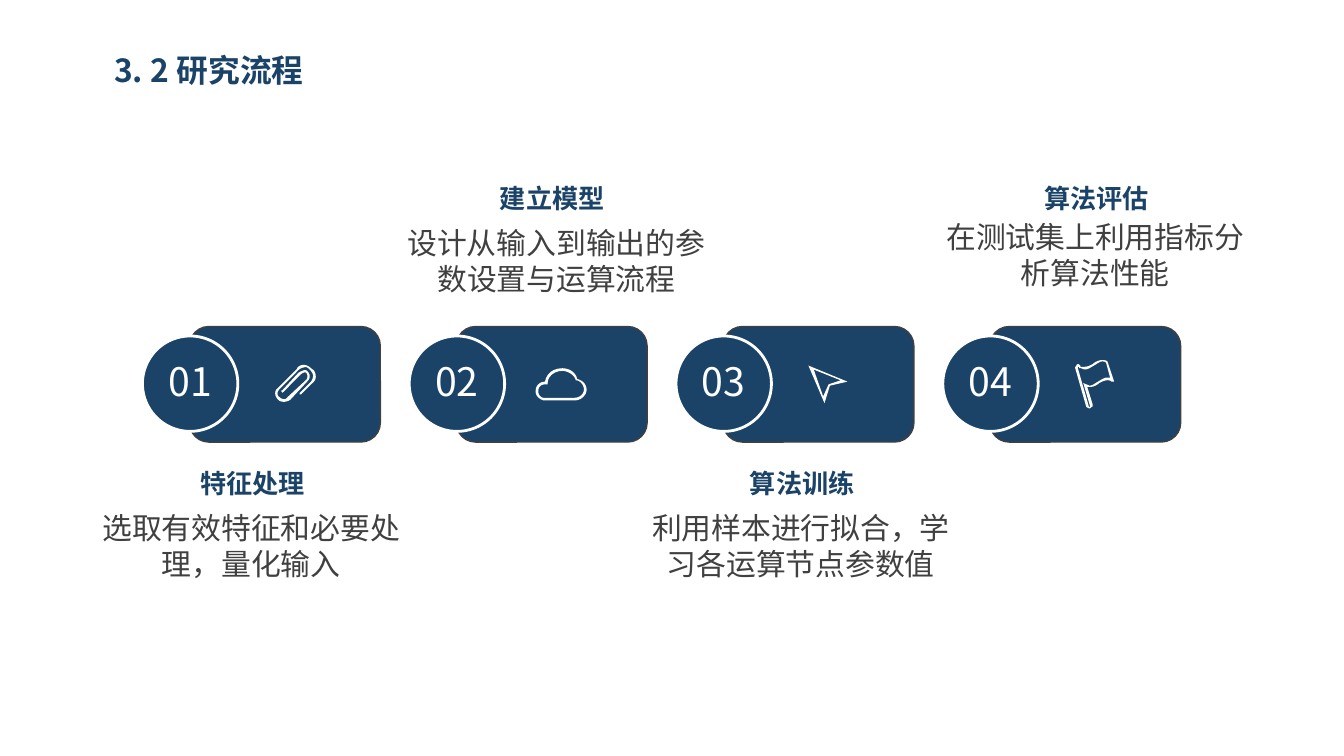
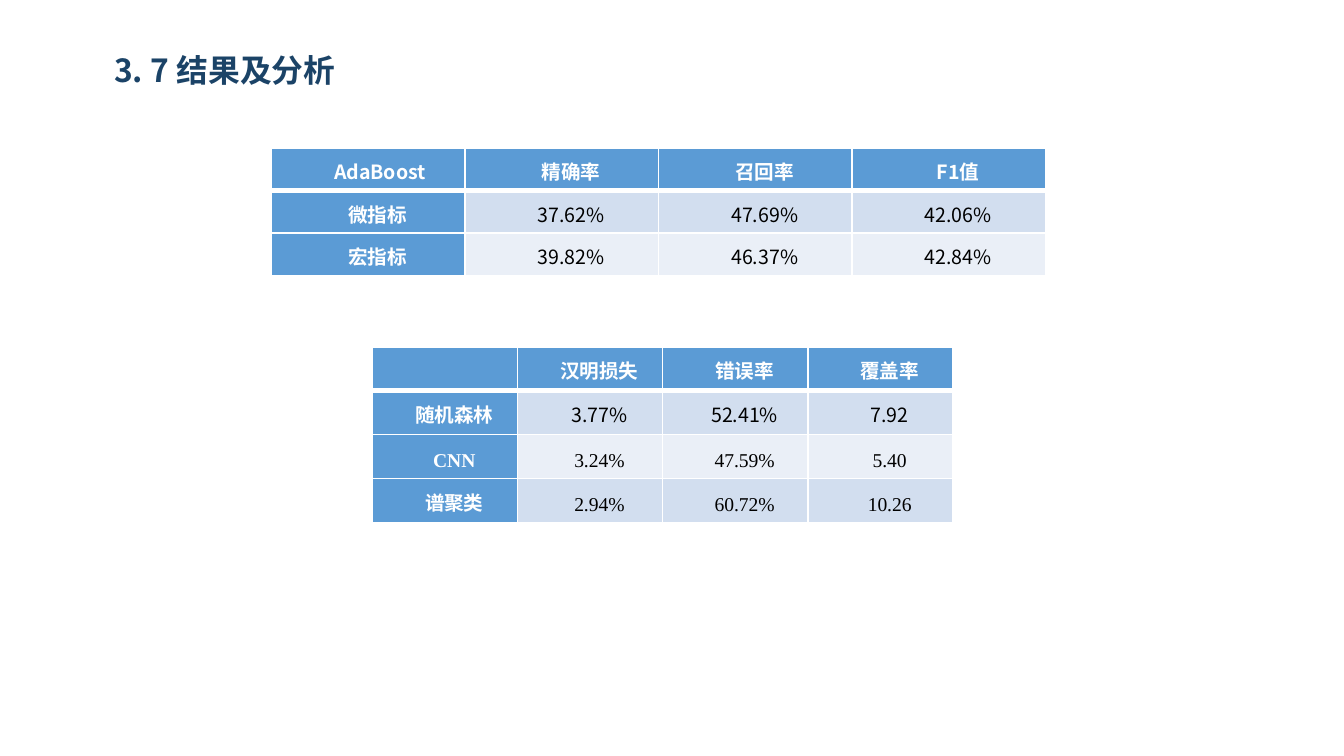
from lxml import etree
from pptx import Presentation
from pptx.dml.color import RGBColor
from pptx.enum.shapes import MSO_SHAPE
from pptx.enum.text import MSO_ANCHOR, MSO_AUTO_SIZE, PP_ALIGN
from pptx.oxml.ns import qn
from pptx.util import Inches, Pt

# Shared style
SLIDE_WIDTH = 10
SLIDE_HEIGHT = SLIDE_WIDTH * 9 / 16
NAVY = RGBColor(0x1B, 0x43, 0x67)
GRAY = RGBColor(0x40, 0x40, 0x40)
WHITE = RGBColor(0xFF, 0xFF, 0xFF)
BLACK = RGBColor(0x00, 0x00, 0x00)
TABLE_BLUE = RGBColor(0x5B, 0x9B, 0xD5)
BANDS = (RGBColor(0xD2, 0xDE, 0xEF), RGBColor(0xEA, 0xEF, 0xF7))
SANS = "Noto Sans CJK SC"
SERIF = "Times New Roman"
ROUNDED = MSO_SHAPE.ROUNDED_RECTANGLE
OVAL = MSO_SHAPE.OVAL
LEFT, CENTER = PP_ALIGN.LEFT, PP_ALIGN.CENTER
TOP, MIDDLE = MSO_ANCHOR.TOP, MSO_ANCHOR.MIDDLE
NO_AUTOFIT = MSO_AUTO_SIZE.NONE
TITLE_ONLY = 5

# Step cards
CARD_LEFT, CARD_PITCH = 1.06, 1.985
CARD_MIDDLE = 2.86
ICON_CENTER = 1.13
CURVE_STEPS = 6

# Icon outlines in hundredths of an inch: pairs are lines, sextuples are curves
PAPERCLIP = (30, 29, [[
    (28, 3), (26, 1, 24, 0, 22, 0), (19, 0, 17, 2, 17, 3), (3, 17),
    (0, 19, 0, 23, 3, 26), (5, 28, 9, 28, 12, 26), (25, 12),
    (27, 10, 27, 7, 25, 5), (24, 3, 21, 4, 18, 6), (6, 19),
    (5, 19, 5, 20, 6, 20), (6, 21, 6, 21, 7, 20), (20, 7),
    (21, 6, 23, 5, 24, 6), (25, 7, 25, 10, 24, 11), (10, 24),
    (9, 26, 6, 26, 4, 24), (2, 23, 2, 20, 4, 18), (18, 4),
    (18, 4, 20, 2, 22, 2), (24, 1, 25, 2, 27, 4), (28, 5, 29, 7, 29, 8),
    (29, 11, 27, 13, 27, 13), (19, 21), (19, 22), (20, 22), (28, 14),
    (28, 14, 31, 12, 31, 9), (31, 6, 30, 4, 28, 3)]])
CLOUD = (38, 24, [
    [(29, 24), (6, 24), (3, 23, 0, 21, 0, 17), (0, 13, 3, 10, 7, 10),
     (8, 4, 13, 0, 20, 0), (25, 0, 30, 3, 31, 8), (35, 9, 38, 12, 38, 16),
     (38, 20, 34, 24, 29, 24)],
    [(6, 22), (29, 22), (33, 22, 36, 19, 36, 16), (36, 13, 34, 10, 31, 9),
     (30, 9), (29, 5, 24, 2, 20, 2), (14, 2, 9, 6, 9, 11), (9, 12), (7, 12),
     (4, 12, 2, 14, 2, 17), (2, 20, 4, 22, 6, 22)]])
CURSOR = (29, 28, [
    [(12, 28), (0, 0), (29, 12), (16, 15)],
    [(4, 3), (11, 23), (15, 14), (24, 11)]])
FLAG = (29, 36, [
    [(11, 36), (10, 36, 8, 35, 8, 34), (0, 6), (0, 5, 0, 5, 1, 4),
     (1, 4, 1, 3, 2, 3), (3, 3, 4, 4, 4, 5), (7, 5), (9, 5, 11, 4, 13, 3),
     (15, 1, 18, 0, 20, 0), (21, 0, 23, 0, 24, 1), (29, 16), (27, 16),
     (26, 15, 25, 15, 24, 15), (22, 15, 20, 16, 18, 17),
     (16, 19, 13, 20, 11, 20), (9, 20), (13, 33), (13, 34, 13, 35, 12, 35)],
    [(2, 5), (2, 6), (10, 34), (10, 34, 10, 35, 11, 35), (11, 34), (6, 17),
     (8, 18), (9, 18, 10, 19, 11, 19), (13, 19, 15, 17, 17, 16),
     (19, 15, 21, 13, 24, 13), (26, 13), (23, 2), (22, 1, 21, 1, 20, 1),
     (18, 1, 16, 3, 14, 4), (12, 5, 10, 7, 7, 7), (6, 7, 5, 6, 4, 6),
     (3, 6), (3, 5)]])

# Icon, heading, heading left and top, description, description left and top
STEPS = [
    (PAPERCLIP, "特征处理", 1.41, 3.44, "选取有效特征和必要处理，量化输入", 0.63, 3.75),
    (CLOUD, "建立模型", 3.64, 1.32, "设计从输入到输出的参数设置与运算流程", 2.9, 1.63),
    (CURSOR, "算法训练", 5.5, 3.44, "利用样本进行拟合，学习各运算节点参数值", 4.72, 3.75),
    (FLAG, "算法评估", 7.69, 1.32, "在测试集上利用指标分析算法性能", 6.91, 1.59),
]

ADABOOST_ROWS = [
    (" AdaBoost", "精确率", "召回率", "F1值"),
    ("微指标", "37.62%", "47.69%", "42.06%"),
    ("宏指标", "39.82%", "46.37%", "42.84%"),
]
COMPARISON_ROWS = [
    ("", "汉明损失", "错误率", "覆盖率"),
    ("随机森林", "3.77%", "52.41%", "7.92"),
    ("CNN", "3.24%", "47.59%", "5.40"),
    ("谱聚类", "2.94%", "60.72%", "10.26"),
]


def box(left, top, width, height):
    return Inches(left), Inches(top), Inches(width), Inches(height)


def format_paragraph(paragraph, size, color, bold=False, align=CENTER, font=SANS):
    paragraph.alignment = align
    for run in paragraph.runs:
        run.font.size = Pt(size)
        run.font.bold = bold
        run.font.color.rgb = color
        run.font.name = font
        east_asian = etree.SubElement(run.font._element, qn("a:ea"))
        east_asian.set("typeface", SANS)


def set_text(shape, text, size, color, bold=False, align=CENTER, wrap=True,
             anchor=TOP, margins=(0.07, 0.04)):
    frame = shape.text_frame
    frame.text = text
    frame.word_wrap = wrap
    frame.auto_size = NO_AUTOFIT
    frame.vertical_anchor = anchor
    frame.margin_left = frame.margin_right = Inches(margins[0])
    frame.margin_top = frame.margin_bottom = Inches(margins[1])
    format_paragraph(frame.paragraphs[0], size, color, bold, align)


def add_titled_slide(presentation, title, width):
    slide = presentation.slides.add_slide(presentation.slide_layouts[TITLE_ONLY])
    shape = slide.shapes.title
    shape.left, shape.top, shape.width, shape.height = box(0.78, 0.34, width, 0.36)
    set_text(shape, title, 17, NAVY, bold=True, align=LEFT)
    return slide


def add_label(slide, position, text, size, color, bold=False, wrap=True):
    shape = slide.shapes.add_textbox(*box(*position))
    set_text(shape, text, size, color, bold, wrap=wrap)


def add_navy_shape(shapes, kind, position, line_color, line_width):
    shape = shapes.add_shape(kind, *box(*position))
    shape.shadow.inherit = False
    shape.fill.solid()
    shape.fill.fore_color.rgb = NAVY
    shape.line.color.rgb = line_color
    shape.line.width = Pt(line_width)
    return shape


def trace(outline):
    """Turn an outline of lines and cubic curves into points."""
    points = [outline[0]]
    for segment in outline[1:]:
        if len(segment) == 2:
            points.append(segment)
            continue
        controls = [points[-1], segment[:2], segment[2:4], segment[4:]]
        for step in range(1, CURVE_STEPS + 1):
            t = step / CURVE_STEPS
            weights = ((1 - t) ** 3, 3 * t * (1 - t) ** 2, 3 * t * t * (1 - t), t ** 3)
            points.append(tuple(sum(weight * point[axis] for weight, point
                                    in zip(weights, controls)) for axis in (0, 1)))
    return points


def add_icon(shapes, icon, center_x, center_y):
    width, height, outlines = icon
    left, top = center_x - width / 200, center_y - height / 200
    builder = None
    for outline in outlines:
        points = [(Inches(left + x / 100), Inches(top + y / 100))
                  for x, y in trace(outline)]
        if builder is None:
            builder = shapes.build_freeform(*points[0])
        else:
            builder.move_to(*points[0])
        builder.add_line_segments(points[1:], close=True)
    shape = builder.convert_to_shape()
    shape.shadow.inherit = False
    shape.fill.solid()
    shape.fill.fore_color.rgb = WHITE
    shape.line.fill.background()


def add_step_card(slide, index, icon):
    left = CARD_LEFT + index * CARD_PITCH
    shapes = slide.shapes.add_group_shape().shapes
    add_navy_shape(shapes, ROUNDED, (left + 0.35, 2.43, 1.42, 0.86), GRAY, 0.75)
    circle = add_navy_shape(shapes, OVAL, (left, 2.5, 0.71, 0.71), WHITE, 1.5)
    set_text(circle, f"{index + 1:02}", 21, WHITE, wrap=False, anchor=MIDDLE,
             margins=(0, 0))
    circle.text_frame.paragraphs[0].line_spacing = 0.9
    add_icon(shapes, icon, left + ICON_CENTER, CARD_MIDDLE)


def set_borders(cell, top, bottom):
    properties = cell._tc.get_or_add_tcPr()
    for side, width in (("L", 1), ("R", 1), ("T", top), ("B", bottom)):
        line = etree.SubElement(properties, qn(f"a:ln{side}"), w=str(Pt(width)))
        fill = etree.SubElement(line, qn("a:solidFill"))
        etree.SubElement(fill, qn("a:srgbClr"), val=str(WHITE))


def format_cell(cell, text, row, column, font):
    is_header = row == 0 or column == 0
    set_borders(cell, 3 if row == 1 else 1, 3 if row == 0 else 1)
    cell.fill.solid()
    cell.fill.fore_color.rgb = TABLE_BLUE if is_header else BANDS[(row - 1) % 2]
    cell.margin_left = cell.margin_right = Inches(0.07)
    cell.margin_top = cell.margin_bottom = 0
    cell.text_frame.text = text
    paragraph = cell.text_frame.paragraphs[0]
    paragraph.line_spacing = Pt(20)
    paragraph.space_before = paragraph.space_after = Pt(6)
    format_paragraph(paragraph, 10.5, WHITE if is_header else BLACK, is_header, font=font)
    # First-line indent
    paragraph_properties = paragraph._p.get_or_add_pPr()
    paragraph_properties.set("marL", "0")
    paragraph_properties.set("indent", str(Inches(0.14)))


def add_result_table(slide, position, rows, serif_from):
    """Draw a table whose rows from serif_from on use the serif font."""
    frame = slide.shapes.add_table(len(rows), len(rows[0]), *box(*position))
    for row, texts in enumerate(rows):
        font = SERIF if row >= serif_from else SANS
        for column, text in enumerate(texts):
            format_cell(frame.table.cell(row, column), text, row, column, font)


def main():
    presentation = Presentation()
    presentation.slide_width = Inches(SLIDE_WIDTH)
    presentation.slide_height = Inches(SLIDE_HEIGHT)

    # Research process
    slide = add_titled_slide(presentation, "3. 2 研究流程", 2.47)
    for index, step in enumerate(STEPS):
        icon, heading, heading_left, heading_top, text, text_left, text_top = step
        add_step_card(slide, index, icon)
        add_label(slide, (heading_left, heading_top, 0.94, 0.31), heading, 14, NAVY,
                  bold=True, wrap=False)
        add_label(slide, (text_left, text_top, 2.48, 0.61), text, 16, GRAY)

    # Results and analysis
    slide = add_titled_slide(presentation, "3. 7 结果及分析", 5.06)
    add_result_table(slide, (2.02, 1.1, 5.76, 0.95), ADABOOST_ROWS, serif_from=3)
    add_result_table(slide, (2.77, 2.58, 4.32, 1.31), COMPARISON_ROWS, serif_from=2)

    presentation.save("out.pptx")


if __name__ == "__main__":
    main()
